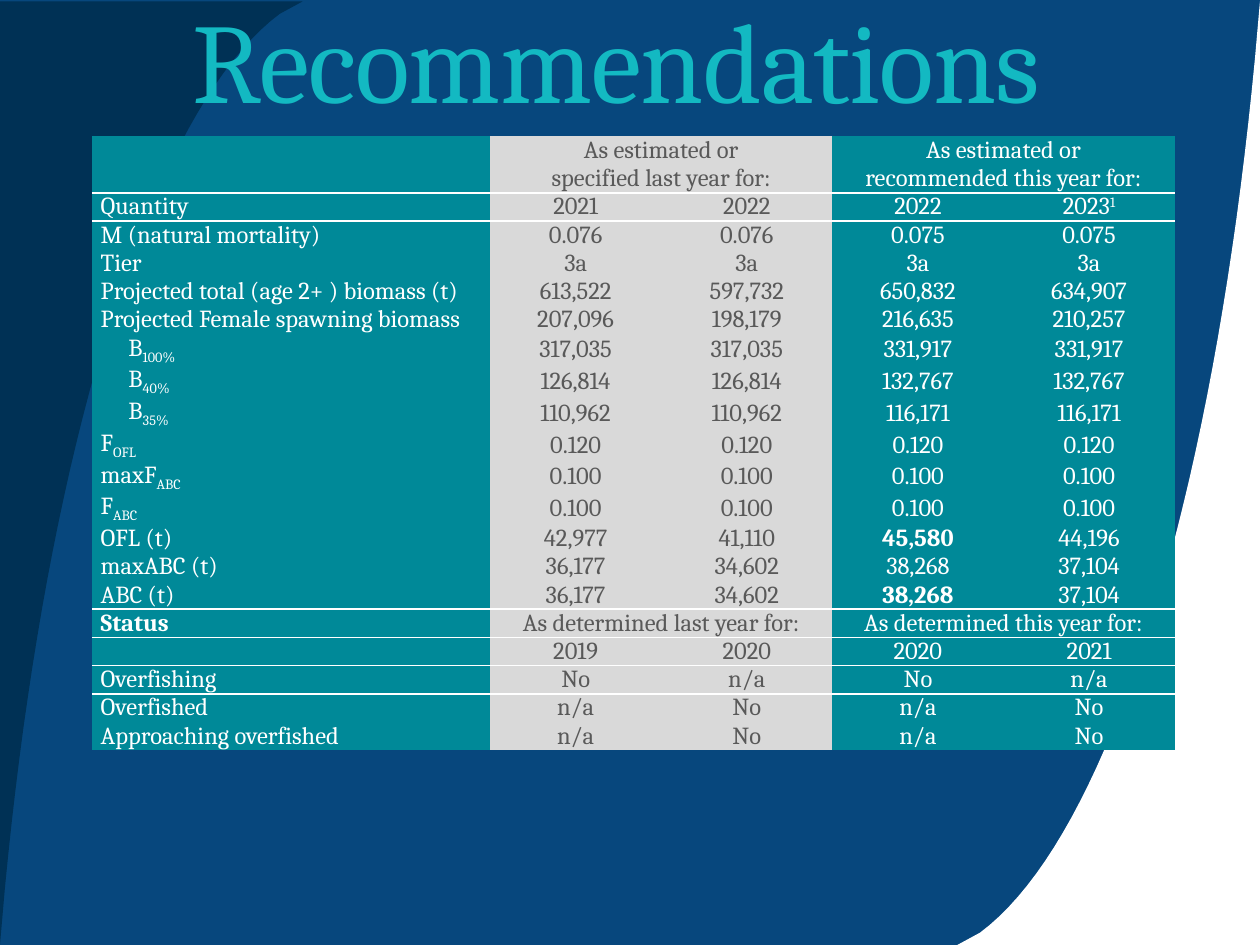
from typing import NamedTuple

from lxml.etree import SubElement
from pptx import Presentation
from pptx.dml.color import RGBColor
from pptx.enum.shapes import MSO_SHAPE
from pptx.enum.text import MSO_ANCHOR, MSO_AUTO_SIZE, PP_ALIGN
from pptx.oxml import parse_xml
from pptx.oxml.ns import nsdecls, qn
from pptx.util import Cm, Pt

COLORS = {
    "blue": "07477D",
    "navy": "003155",
    "white": "FFFFFF",
    "title": "13B9C2",
    "teal": "008998",
    "gray": "D9D9D9",
    "gray text": "595959",
}
FONT = "Cambria"
PAGE_WIDTH, PAGE_HEIGHT = 25.4, 19.05
NO_GRID_STYLE = "{2D5ABB26-0587-4C30-8999-92F81FD0307C}"
BASELINES = {"_": -25000, "^": 30000}
COLUMN_WIDTHS = [8.03] + [3.45] * 4


class Row(NamedTuple):
    """Two values span two columns each; "_" starts a subscript, "^" a superscript."""
    label: str
    values: tuple[str, ...]
    bold: tuple[int, ...] = ()
    indent: float = 0
    height: float = 0.46
    anchor: MSO_ANCHOR = MSO_ANCHOR.MIDDLE
    rule_below: bool = False


ROWS = [
    Row("", ("As estimated or\nspecified last year for:",
             "As estimated or\nrecommended this year for:"),
        height=0.91, anchor=MSO_ANCHOR.TOP, rule_below=True),
    Row("Quantity", ("2021", "2022", "2022", "2023^1")),
    Row("M (natural mortality)", ("0.076", "0.076", "0.075", "0.075")),
    Row("Tier", ("3a",) * 4),
    Row("Projected total (age 2+ ) biomass (t)",
        ("613,522", "597,732", "650,832", "634,907")),
    Row("Projected Female spawning biomass",
        ("207,096", "198,179", "216,635", "210,257")),
    Row("B_100%", ("317,035", "317,035", "331,917", "331,917"), indent=0.56),
    Row("B_40%", ("126,814", "126,814", "132,767", "132,767"), indent=0.56),
    Row("B_35%", ("110,962", "110,962", "116,171", "116,171"), indent=0.56),
    Row("F_OFL", ("0.120",) * 4),
    Row("maxF_ABC", ("0.100",) * 4),
    Row("F_ABC", ("0.100",) * 4),
    Row("OFL (t)", ("42,977", "41,110", "45,580", "44,196"), bold=(3,)),
    Row("maxABC (t)", ("36,177", "34,602", "38,268", "37,104")),
    Row("ABC (t)", ("36,177", "34,602", "38,268", "37,104"), bold=(3,), rule_below=True),
    Row("Status", ("As determined last year for:", "As determined this year for:"),
        bold=(0,), height=0.28, anchor=MSO_ANCHOR.TOP),
    Row("", ("2019", "2020", "2020", "2021"), anchor=MSO_ANCHOR.TOP, rule_below=True),
    Row("Overfishing", ("No", "n/a", "No", "n/a")),
    Row("Overfished", ("n/a", "No", "n/a", "No")),
    Row("Approaching overfished", ("n/a", "No", "n/a", "No")),
]


def rgb(name: str) -> RGBColor:
    return RGBColor.from_string(COLORS[name])


def paint(shape, color: str) -> None:
    shape.fill.solid()
    shape.fill.fore_color.rgb = rgb(color)
    shape.line.fill.background()
    shape.shadow.inherit = False


def bezier(start, control1, control2, end, steps: int = 40) -> list[tuple[float, float]]:
    """Points along a cubic curve, without its start."""
    points = []
    for step in range(1, steps + 1):
        t = step / steps
        weights = ((1 - t) ** 3, 3 * t * (1 - t) ** 2, 3 * t * t * (1 - t), t ** 3)
        corners = (start, control1, control2, end)
        points.append(tuple(sum(w * corner[axis] for w, corner in zip(weights, corners))
                            for axis in (0, 1)))
    return points


def add_outline(page, points: list[tuple[float, float]], color: str) -> None:
    start, *others = [(Cm(x), Cm(y)) for x, y in points]
    builder = page.shapes.build_freeform(*start)
    builder.add_line_segments(others)
    paint(builder.convert_to_shape(), color)


def add_background(page) -> None:
    paint(page.shapes.add_shape(MSO_SHAPE.RECTANGLE, 0, 0, Cm(PAGE_WIDTH), Cm(PAGE_HEIGHT)),
          "blue")
    curve_start = (19.76, 18.8)
    curve = bezier(curve_start, (22.35, 16.87), (24.46, 10.06), (25.3, 1.17))
    corner = [(25.4, 0.03), (25.4, 19.05), (19.3, 19.05), curve_start] + curve
    turned = [(PAGE_WIDTH - x, PAGE_HEIGHT + 0.03 - y) for x, y in corner]
    add_outline(page, corner, "white")
    add_outline(page, turned, "navy")


def place_title(page, text: str) -> None:
    title = page.shapes.title
    page.shapes._spTree.append(title._element)  # in front of the background
    title.left, title.top, title.width, title.height = Cm(3.89), Cm(0.23), Cm(18.69), Cm(4.39)
    frame = title.text_frame
    frame.margin_left = frame.margin_top = frame.margin_right = frame.margin_bottom = 0
    frame.auto_size = MSO_AUTO_SIZE.NONE
    frame.vertical_anchor = MSO_ANCHOR.TOP
    para = frame.paragraphs[0]
    para.alignment = PP_ALIGN.LEFT
    para.line_spacing = 0.85
    para.font.name, para.font.size = FONT, Pt(64.8)
    para.font.color.rgb = rgb("title")
    span = para.add_run()
    span.text = text
    span._r.get_or_add_rPr().set("spc", "-50")


def add_spans(para, text: str) -> None:
    mark = next((mark for mark in BASELINES if mark in text), None)
    main, _, raised = text.partition(mark) if mark else (text, "", "")
    para.add_run().text = main
    if raised:
        span = para.add_run()
        span.text = raised
        span._r.get_or_add_rPr().set("baseline", str(BASELINES[mark]))


def fill_cell(cell, text: str, row: Row, column: int) -> None:
    is_last_year = column in (1, 2)
    cell.fill.solid()
    cell.fill.fore_color.rgb = rgb("gray" if is_last_year else "teal")
    cell.vertical_anchor = row.anchor
    cell.margin_left = Cm(0.18 + (row.indent if column == 0 else 0))
    cell.margin_right = Cm(0.18)
    cell.margin_top = cell.margin_bottom = 0
    frame = cell.text_frame
    for index, line in enumerate(text.split("\n")):
        para = frame.add_paragraph() if index else frame.paragraphs[0]
        para.alignment = PP_ALIGN.CENTER if column else PP_ALIGN.LEFT
        para.font.name, para.font.size = FONT, Pt(14)
        para.font.bold = column in row.bold
        para.font.color.rgb = rgb("gray text" if is_last_year else "white")
        if line:
            add_spans(para, line)
        else:
            SubElement(para._p, qn("a:endParaRPr"), sz="1400")


def add_rule(cell, side: str) -> None:
    """Draw a white border on side "T" (top) or "B" (bottom)."""
    cell._tc.get_or_add_tcPr().insert(0, parse_xml(
        f'<a:ln{side} {nsdecls("a")} w="12700"><a:solidFill>'
        f'<a:srgbClr val="{COLORS["white"]}"/></a:solidFill></a:ln{side}>'))


def add_recommendation_table(page) -> None:
    table = page.shapes.add_table(
        len(ROWS), len(COLUMN_WIDTHS), Cm(1.85), Cm(2.75),
        Cm(sum(COLUMN_WIDTHS)), Cm(sum(row.height for row in ROWS))).table
    table.first_row = table.horz_banding = False
    table._tbl.tblPr.find(qn("a:tableStyleId")).text = NO_GRID_STYLE
    for column, width in zip(table.columns, COLUMN_WIDTHS):
        column.width = Cm(width)
    for index, row in enumerate(ROWS):
        table.rows[index].height = Cm(row.height)
        spans_pairs = len(row.values) == 2
        texts = [row.label, *row.values]
        if spans_pairs:
            texts = [row.label, row.values[0], "", row.values[1], ""]
        for column, text in enumerate(texts):
            cell = table.cell(index, column)
            fill_cell(cell, text, row, column)
            if row.rule_below:
                add_rule(cell, "B")
            if index and ROWS[index - 1].rule_below:
                add_rule(cell, "T")
        if spans_pairs:
            for first in (1, 3):
                table.cell(index, first).merge(table.cell(index, first + 1))


def main() -> None:
    deck = Presentation()
    deck.slide_width, deck.slide_height = Cm(PAGE_WIDTH), Cm(PAGE_HEIGHT)
    page = deck.slides.add_slide(deck.slide_layouts[5])
    add_background(page)
    place_title(page, "Recommendations")
    add_recommendation_table(page)
    deck.save("out.pptx")


if __name__ == "__main__":
    main()
